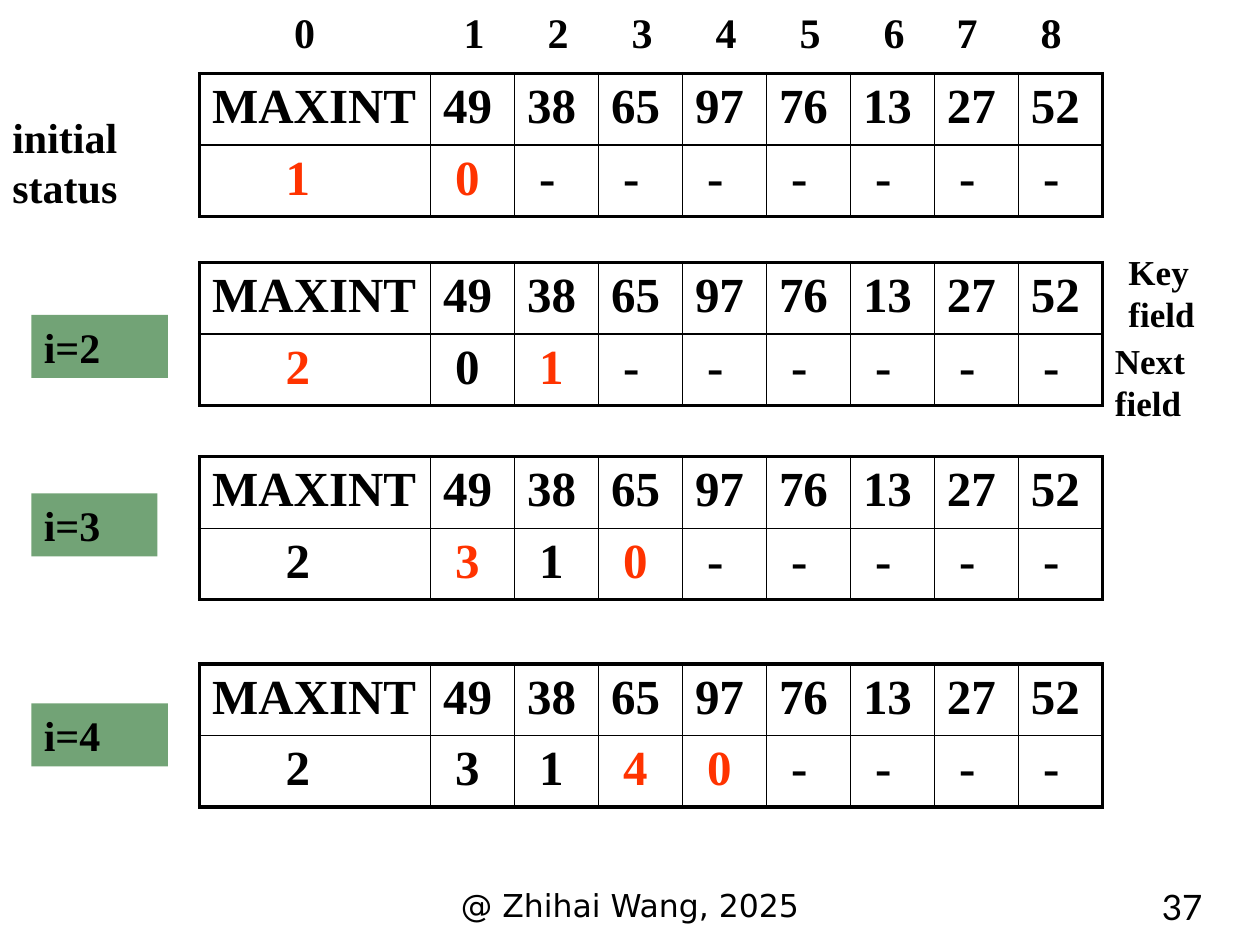
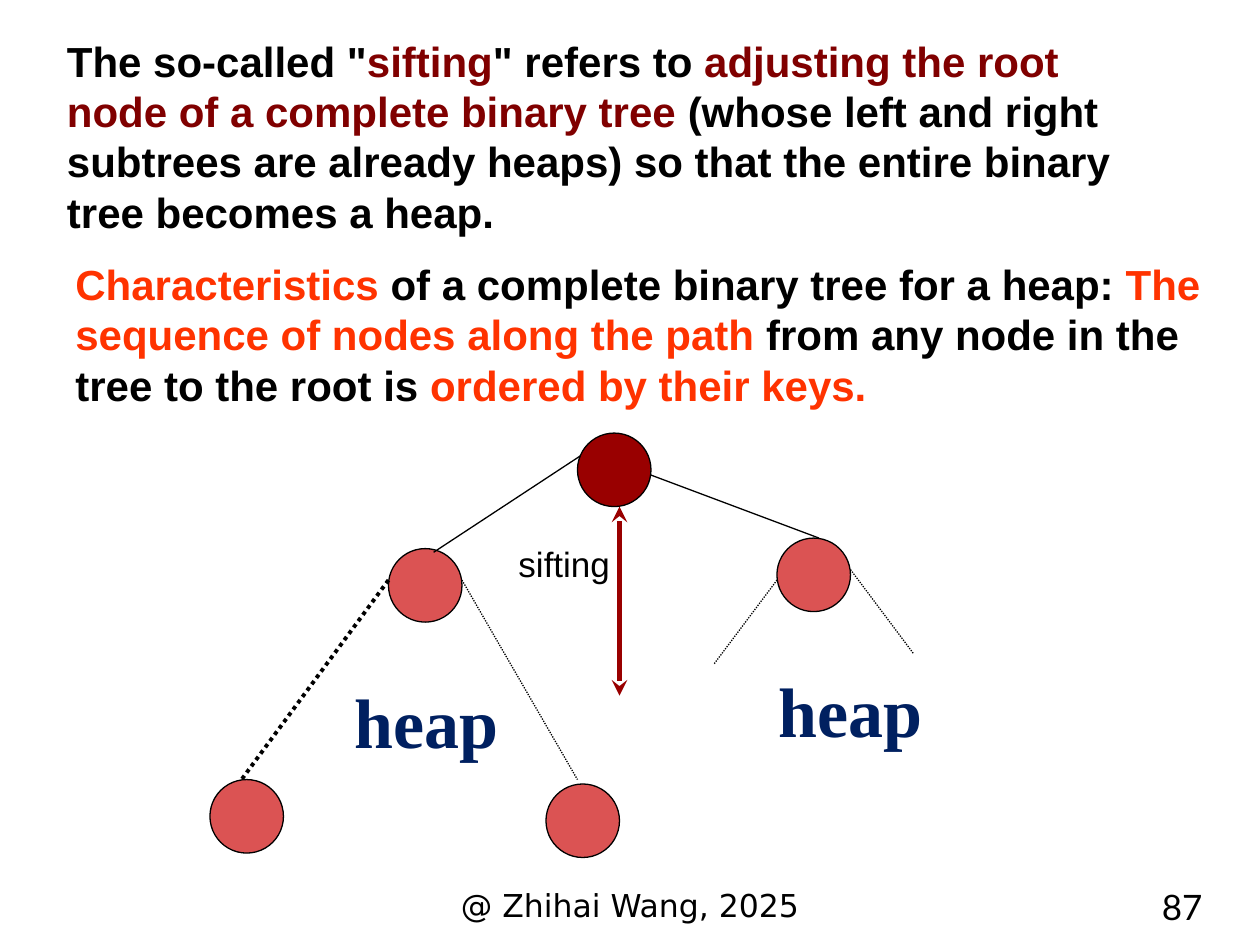
import pptx
import pptx.dml.color
import pptx.enum.dml
import pptx.enum.shapes
import pptx.enum.text
import pptx.oxml
import pptx.oxml.ns
import pptx.util

RGBColor = pptx.dml.color.RGBColor
BLACK = RGBColor(0x00, 0x00, 0x00)
ORANGE = RGBColor(0xFF, 0x33, 0x00)
GREEN = RGBColor(0x72, 0xA3, 0x76)
MAROON = RGBColor(0x80, 0x00, 0x00)
DARK_RED = RGBColor(0x99, 0x00, 0x00)
ROSE = RGBColor(0xDB, 0x53, 0x53)
NAVY = RGBColor(0x00, 0x20, 0x60)

SERIF, SANS = "Times New Roman", "Arial"
ALIGN = pptx.enum.text.PP_ALIGN
SHAPE = pptx.enum.shapes.MSO_SHAPE
DOTS = pptx.enum.dml.MSO_LINE.ROUND_DOT

# The slide is a grid of 120 columns and 90 rows, twelve to the inch.
COLUMNS, ROWS = 120, 90
TABLE_LEFT, FIRST_COLUMN, KEY_COLUMN, TABLE_ROW = 19, 22, 8, 6.8
NODE_SIZE = 7
KEYS = ["MAXINT", "49", "38", "65", "97", "76", "13", "27", "52"]


def grid(count):
    return pptx.util.Inches(count / 12)


def xml(text):
    return pptx.oxml.parse_xml(text.replace(">", f" {pptx.oxml.ns.nsdecls('a')}>", 1))


def format_span(span, size, font, color, bold):
    span.font.size = pptx.util.Pt(size)
    span.font.name = font
    span.font.color.rgb = color
    span.font.bold = bold


def add_text(page, left, top, width, height, pieces, size, font=SERIF,
             bold=True, align=ALIGN.LEFT, wrap=True):
    """Add a text box; pieces is a list of (words, colour)."""
    box = page.shapes.add_textbox(grid(left), grid(top), grid(width), grid(height))
    box.text_frame.word_wrap = wrap
    para = box.text_frame.paragraphs[0]
    para.alignment = align
    for words, color in pieces:
        span = para.add_run()
        span.text = words
        format_span(span, size, font, color, bold)
    return box


def add_footer(page, number):
    add_text(page, 41, 83.75, 38, 4.7, [("@ Zhihai Wang, 2025", BLACK)], 18,
             "DejaVu Sans", False, ALIGN.CENTER)
    add_text(page, 97.3, 83.75, 18.4, 4.7, [(str(number), BLACK)], 20,
             "Lato", False, ALIGN.RIGHT)


def add_index_row(page):
    """Number the table columns, with one centred tab stop for each."""
    centers = [10] + [26.15 + KEY_COLUMN * step for step in range(6)] + [73.1, 81.1]
    box = add_text(page, TABLE_LEFT, 0, 91, 6, [], 24)
    box.text_frame.margin_left = 0
    para = box.text_frame.paragraphs[0]
    stops = "".join(f'<a:tab pos="{grid(center)}" algn="ctr"/>' for center in centers)
    para._p.get_or_add_pPr().append(xml(f"<a:tabLst>{stops}</a:tabLst>"))
    para.text = "".join(f"\t{index}" for index in range(len(KEYS)))
    format_span(para.runs[0], 24, SERIF, BLACK, True)


def set_borders(cell, widths):
    """Draw the left, right, top and bottom borders, widths in points."""
    properties = cell._tc.get_or_add_tcPr()
    for position, (side, width) in enumerate(zip("LRTB", widths)):
        properties.insert(position, xml(
            f'<a:ln{side} w="{pptx.util.Pt(width)}"><a:solidFill>'
            f'<a:srgbClr val="{BLACK}"/></a:solidFill></a:ln{side}>'))


def add_list_table(page, top, links, changed):
    """Add keys over next links; the changed columns are highlighted."""
    count = len(KEYS)
    frame = page.shapes.add_table(
        2, count, grid(TABLE_LEFT), grid(top),
        grid(FIRST_COLUMN + KEY_COLUMN * (count - 1)), grid(2 * TABLE_ROW))
    table = frame.table
    table.first_row = table.horz_banding = False
    for column in range(count):
        table.columns[column].width = grid(KEY_COLUMN if column else FIRST_COLUMN)
    for row, values in enumerate((KEYS, links.split())):
        table.rows[row].height = grid(TABLE_ROW)
        for column, value in enumerate(values):
            cell = table.cell(row, column)
            cell.fill.background()
            outer = (column == 0, column == count - 1, row == 0, row == 1)
            set_borders(cell, [2.25 if edge else 1 for edge in outer])
            if row == 1:
                cell.margin_left = grid(2.35 if column else 8.2)
            cell.text_frame.text = value
            color = ORANGE if row == 1 and column in changed else BLACK
            format_span(cell.text_frame.paragraphs[0].runs[0], 28, SERIF, color, True)


def add_shape(page, kind, left, top, width, height, fill):
    shape = page.shapes.add_shape(kind, grid(left), grid(top), grid(width), grid(height))
    shape.shadow.inherit = False
    shape.fill.solid()
    shape.fill.fore_color.rgb = fill
    shape.line.fill.background()
    return shape


def add_step_label(page, top, width, words):
    label = add_shape(page, SHAPE.RECTANGLE, 3, top, width, 6, GREEN)
    label.text_frame.text = words
    para = label.text_frame.paragraphs[0]
    para.alignment = ALIGN.LEFT
    format_span(para.runs[0], 24, SERIF, BLACK, True)


def add_node(page, left, top, fill=ROSE):
    node = add_shape(page, SHAPE.OVAL, left, top, NODE_SIZE, NODE_SIZE, fill)
    node.line.color.rgb = BLACK
    node.line.width = pptx.util.Pt(0.75)


def add_line(page, start, end, width=0.75, color=BLACK, dash=None):
    line = page.shapes.add_connector(
        pptx.enum.shapes.MSO_CONNECTOR.STRAIGHT, *map(grid, start + end))
    line.line.color.rgb = color
    line.line.width = pptx.util.Pt(width)
    if dash:
        line.line.dash_style = dash
    line._element.spPr.append(xml("<a:effectLst></a:effectLst>"))
    return line


def add_double_arrow(page, start, end):
    arrow = add_line(page, start, end, 3, DARK_RED)
    for end_name in ("headEnd", "tailEnd"):
        arrow.line._get_or_add_ln().append(
            xml(f'<a:{end_name} type="stealth"></a:{end_name}>'))


def build_insertion_page(page):
    add_index_row(page)
    add_text(page, 0, 10, 19, 10.9, [("initial status", BLACK)], 24)
    add_text(page, 106.3, 23.25, 13.7, 9.25, [("Key field", BLACK)], 20)
    add_text(page, 105, 31.75, 15, 9.25, [("Next field", BLACK)], 20)
    for top, links, changed in (
            (7, "1 0 - - - - - - -", (0, 1)),
            (25, "2 0 1 - - - - - -", (0, 2)),
            (43.5, "2 3 1 0 - - - - -", (1, 3)),
            (63.25, "2 3 1 4 0 - - - -", (3, 4))):
        add_list_table(page, top, links, changed)
    for top, width, words in ((30, 13, "i=2"), (47, 12, "i=3"), (67, 13, "i=4")):
        add_step_label(page, top, width, words)
    add_footer(page, 37)


def build_sifting_page(page):
    add_text(page, 5.2, 2.75, 107, 20.65, [
        ('The so-called "', BLACK), ("sifting", MAROON), ('" refers to', BLACK),
        (" adjusting the root node of a complete binary tree ", MAROON),
        ("(whose left and right subtrees are already heaps) so that the entire "
         "binary tree becomes a heap.", BLACK)], 24, SANS)
    add_node(page, 55, 41.25, DARK_RED)
    for left, top in ((37, 52.25), (74, 51.25), (20, 74.25), (52, 74.67)):
        add_node(page, left, top)
    add_line(page, (55.3, 43.4), (41.3, 52.6))
    add_line(page, (62, 45.25), (78, 51.25))
    add_line(page, (37, 55.25), (23, 74.25), 2.25, dash=DOTS)
    for start, end in (((44, 55.25), (55, 74.25)),
                       ((74, 55.25), (68, 63.25)),
                       ((81, 54.25), (87, 62.25))):
        add_line(page, start, end, dash=DOTS)
    for left, top in ((32.6, 64), (73, 63)):
        add_text(page, left, top, 16.1, 9.25, [("heap", NAVY)], 40, wrap=False)
    add_double_arrow(page, (59, 48.25), (59, 66.25))
    add_text(page, 48.2, 51.1, 12.25, 5.25, [("sifting", BLACK)], 20, SANS, False)
    add_text(page, 6, 24, 111, 15.7, [
        ("Characteristics ", ORANGE),
        ("of a complete binary tree for a heap: ", BLACK),
        ("The sequence of nodes along the path", ORANGE),
        (" from any node in the tree to the root is ", BLACK),
        ("ordered by their keys.", ORANGE)], 24, SANS)
    add_footer(page, 87)


def main():
    deck = pptx.Presentation()
    deck.slide_width, deck.slide_height = grid(COLUMNS), grid(ROWS)
    blank = deck.slide_layouts[6]
    for build in (build_insertion_page, build_sifting_page):
        build(deck.slides.add_slide(blank))
    deck.save("out.pptx")


if __name__ == "__main__":
    main()
